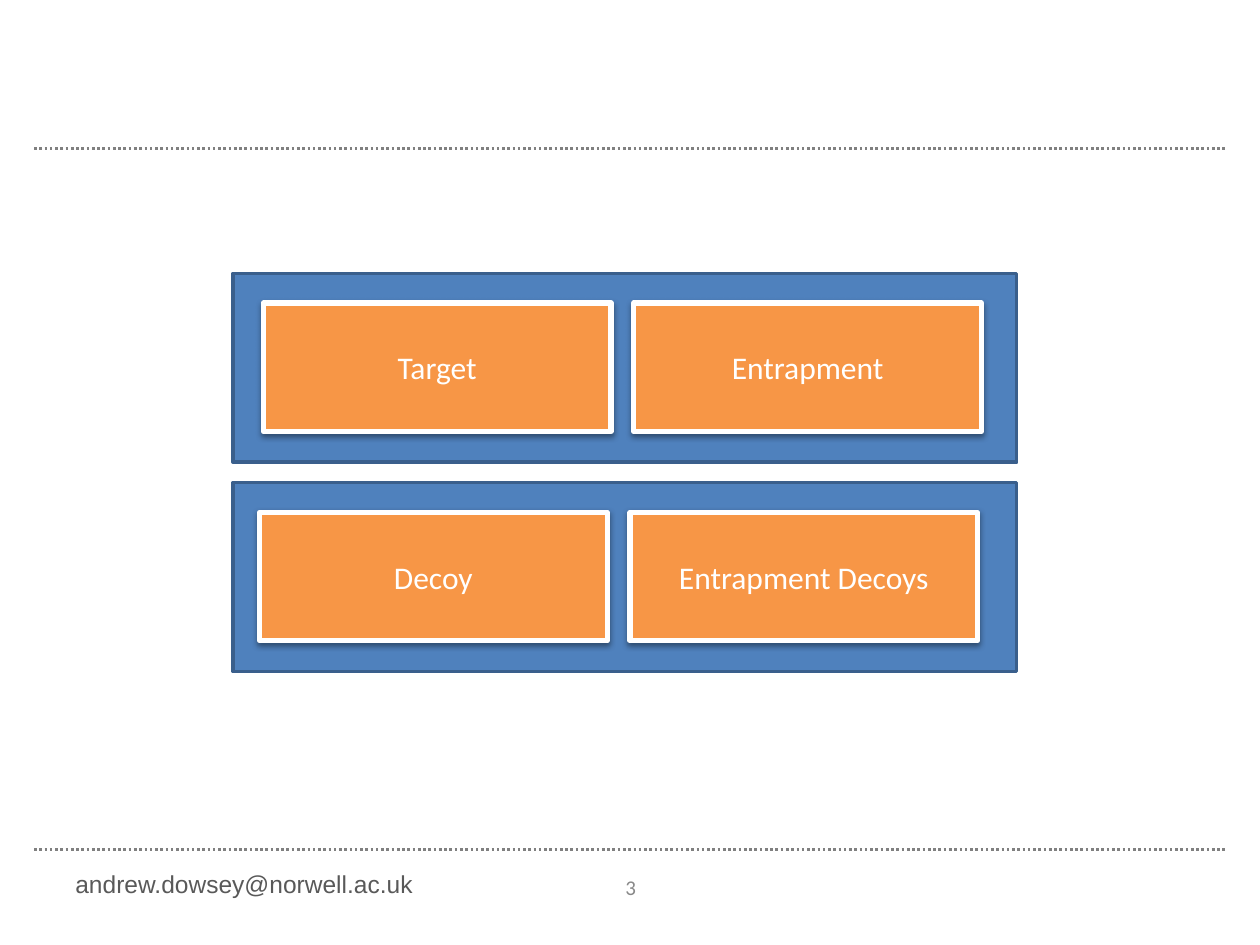
import pptx
import pptx.util
import pptx.dml.color
import pptx.enum.dml
import pptx.enum.shapes
import pptx.enum.text
import pptx.oxml
import pptx.oxml.ns
import lxml.etree

Pt = pptx.util.Pt
RGB = pptx.dml.color.RGBColor.from_string
MID = pptx.enum.text.MSO_ANCHOR.MIDDLE
TOP = pptx.enum.text.MSO_ANCHOR.TOP
LEFT = pptx.enum.text.PP_ALIGN.LEFT
MIDDLE = pptx.enum.text.PP_ALIGN.CENTER
RECT = pptx.enum.shapes.MSO_SHAPE.RECTANGLE

colors = {
    "panel": "4F81BD", "edge": "3A5F8C", "card": "F79646", "white": "FFFFFF",
    "rule": "808080", "mail": "595959", "number": "898989",
}
shadow = (
    f'<a:outerShdw {pptx.oxml.ns.nsdecls("a")} blurRad="40000" dist="20000" '
    'dir="5400000" rotWithShape="0"><a:srgbClr val="000000">'
    '<a:alpha val="38000"/></a:srgbClr></a:outerShdw>'
)


def write(shape, text, color, align, anchor, font):
    frame = shape.text_frame
    frame.word_wrap = True
    frame.vertical_anchor = anchor
    para = frame.paragraphs[0]
    para.alignment = align
    run = para.add_run()
    run.text = text
    for key, value in font.items():
        setattr(run.font, key, value)
    run.font.color.rgb = RGB(colors[color])


def box(left, top, width, height, fill, line, weight):
    shape = slide.shapes.add_shape(RECT, Pt(left), Pt(top), Pt(width), Pt(height))
    shape.shadow.inherit = False
    shape.fill.solid()
    shape.fill.fore_color.rgb = RGB(colors[fill])
    shape.line.color.rgb = RGB(colors[line])
    shape.line.width = Pt(weight)
    return shape


deck = pptx.Presentation()
deck.slide_width, deck.slide_height = Pt(720), Pt(540)
slide = deck.slides.add_slide(deck.slide_layouts[6])

mail = slide.shapes.add_textbox(Pt(36), Pt(493.2), Pt(270.7), Pt(28.8))
write(mail, "andrew.dowsey@norwell.ac.uk", "mail", LEFT, TOP,
      {"name": "Arial", "size": Pt(14)})

for y in (85, 485.3):
    rule = slide.shapes.add_connector(
        pptx.enum.shapes.MSO_CONNECTOR.STRAIGHT, Pt(19.5), Pt(y), Pt(700.5), Pt(y))
    rule.line.color.rgb = RGB(colors["rule"])
    rule.line.width = Pt(1.5)
    rule.line.dash_style = pptx.enum.dml.MSO_LINE.ROUND_DOT
    props = rule.element.spPr
    lxml.etree.SubElement(props, pptx.oxml.ns.qn("a:effectLst"))

number = slide.shapes.add_textbox(Pt(331.9), Pt(492.5), Pt(56.9), Pt(28.8))
write(number, "3", "number", MIDDLE, MID, {"name": "Calibri", "size": Pt(12)})

rows = [
    (156.2, 150.5, ("Target", "Entrapment")),
    (275.8, 148.3, ("Decoy", "Entrapment Decoys")),
]
for top, left, labels in rows:
    box(133.2, top, 447.8, 108, "panel", "edge", 2)

for top, left, labels in rows:
    for col, label in enumerate(labels):
        card = box(left + col * 211.7, top + 17, 198.7, 73.4, "card", "white", 3)
        effects = card.element.spPr.find(pptx.oxml.ns.qn("a:effectLst"))
        effects.append(pptx.oxml.parse_xml(shadow))
        write(card, label, "white", MIDDLE, MID, {"name": "Calibri", "size": Pt(18)})

deck.save("out.pptx")
